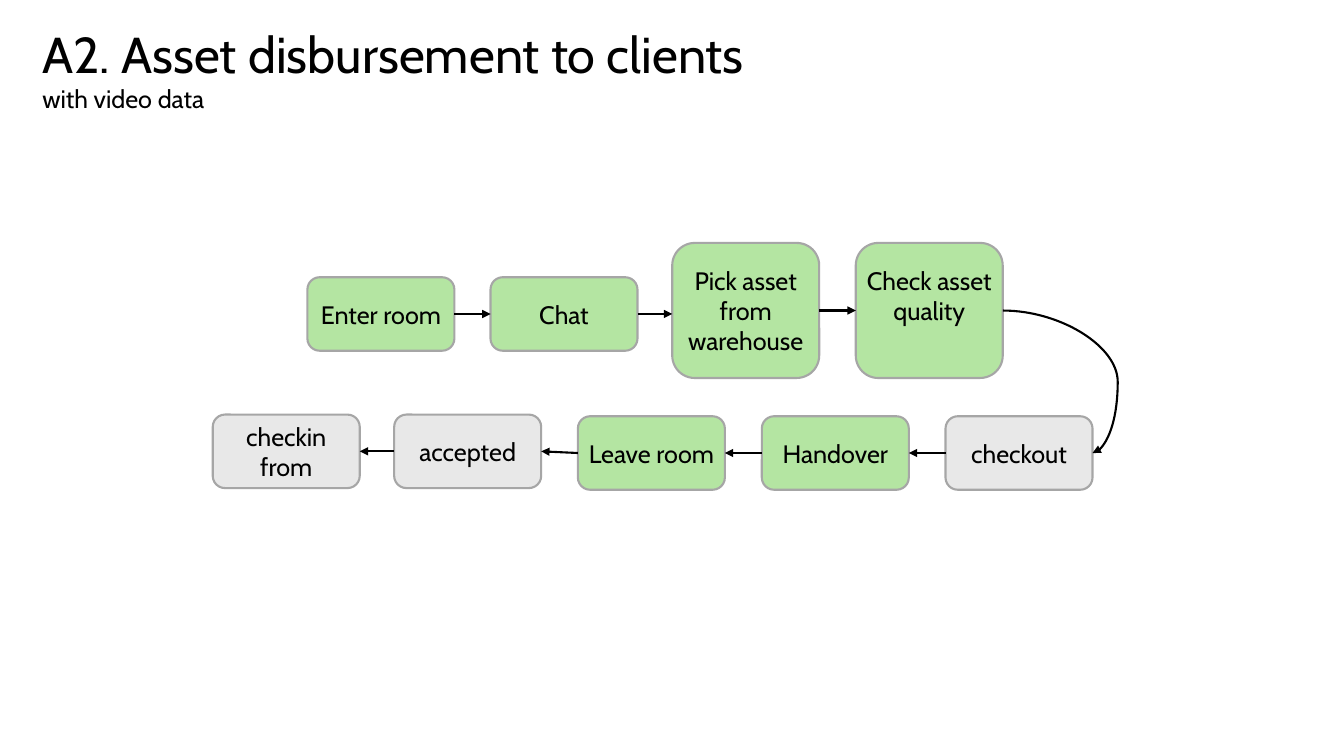
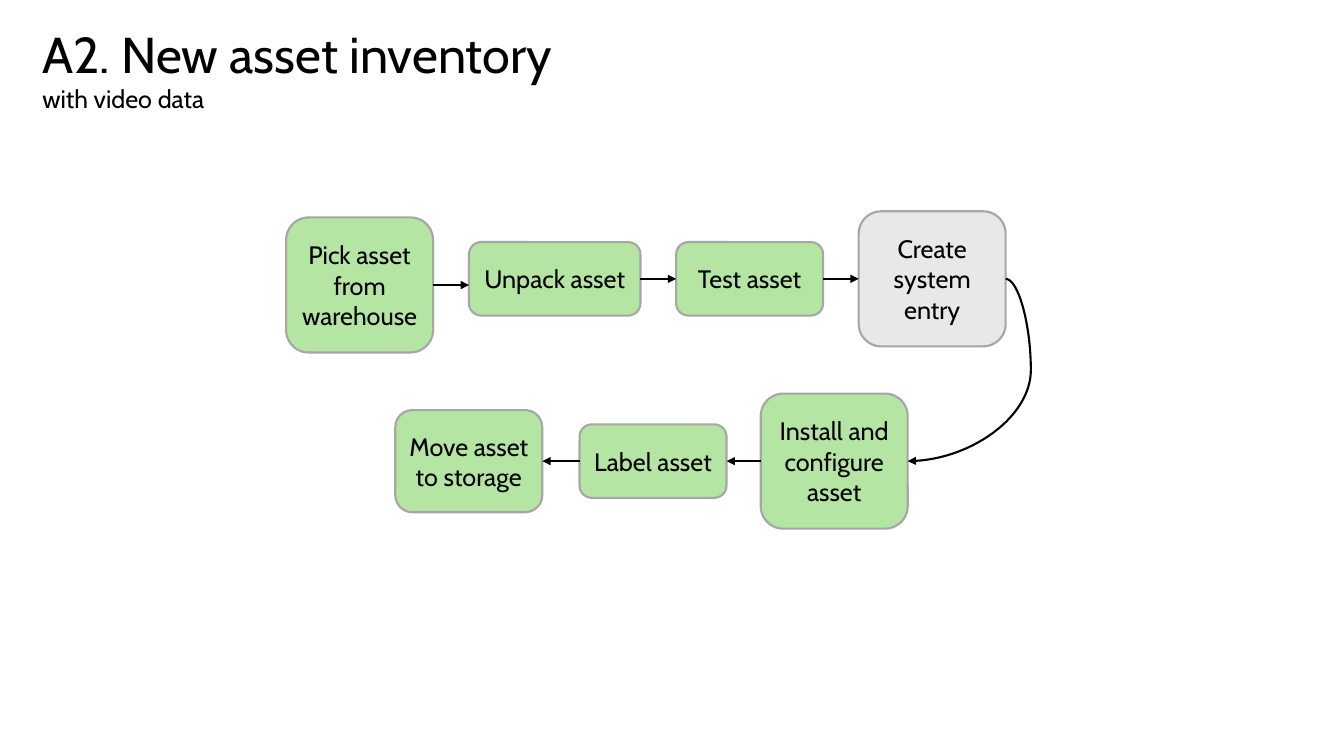
"""Builds two process-flow slides about asset handling."""
from itertools import pairwise

from lxml.etree import SubElement
from pptx import Presentation
from pptx.dml.color import RGBColor
from pptx.enum.shapes import MSO_CONNECTOR, MSO_SHAPE
from pptx.enum.text import MSO_ANCHOR, MSO_AUTO_SIZE, PP_ALIGN
from pptx.oxml.ns import qn
from pptx.util import Pt

FONT = "Cabin"
BLACK, OUTLINE = "000000", "A6A6A6"
VIDEO, SYSTEM = "B4E5A2", "E8E8E8"
SUBTITLE = "with video data"
LOW, MEDIUM, TALL = 52.5, 73, 96.5
WIDTH, WIDE = 105, 122.5
LEFT_SIDE, RIGHT_SIDE = 1, 3
BULGE = 18
TOLERANCE = 2

# text, left, vertical middle, width, height, fill
FLOWS = [
    {
        "title": "A2. Asset disbursement to clients",
        "top_row": [
            ("Enter room", 219.6, 224.3, WIDTH, LOW, VIDEO),
            ("Chat", 350.4, 224.3, WIDTH, LOW, VIDEO),
            ("Pick asset from warehouse", 480.2, 221.8, WIDTH, TALL, VIDEO),
            ("Check asset\nquality", 611.3, 221.8, WIDTH, TALL, VIDEO),
        ],
        "bottom_row": [
            ("checkout", 675.4, 323.6, WIDTH, LOW, SYSTEM),
            ("Handover", 544.2, 323.6, WIDTH, LOW, VIDEO),
            ("Leave room", 412.8, 323.6, WIDTH, LOW, VIDEO),
            ("accepted", 281.6, 322.4, WIDTH, LOW, SYSTEM),
            ("checkin\nfrom", 152, 322.4, WIDTH, LOW, SYSTEM),
        ],
        "top_aligned": ["Check asset\nquality"],
    },
    {
        "title": "A2. New asset inventory",
        "top_row": [
            ("Pick asset from warehouse", 204.4, 203.6, WIDTH, TALL, VIDEO),
            ("Unpack asset", 335, 199.2, WIDE, LOW, VIDEO),
            ("Test asset", 483, 199.2, WIDTH, LOW, VIDEO),
            ("Create\nsystem entry", 613.4, 199.2, WIDTH, TALL, SYSTEM),
        ],
        "bottom_row": [
            ("Install and configure\nasset", 543.4, 329.4, WIDTH, TALL, VIDEO),
            ("Label asset", 414, 329.4, WIDTH, LOW, VIDEO),
            ("Move asset to storage", 282.4, 329.4, WIDTH, MEDIUM, VIDEO),
        ],
        "top_aligned": [],
    },
]


def color(value):
    return RGBColor.from_string(value)


def format_paragraph(para, size, alignment):
    para.alignment = alignment
    para.line_spacing = 1.0
    para.space_before = para.space_after = Pt(0)
    for span in para.runs:
        span.font.name = FONT
        span.font.size = Pt(size)
        span.font.color.rgb = color(BLACK)


def add_title(page, text):
    title = page.shapes.title
    title.left, title.top, title.width, title.height = Pt(23), Pt(13), Pt(700), Pt(73)
    frame = title.text_frame
    frame.text = f"{text}\n{SUBTITLE}"
    frame.auto_size = MSO_AUTO_SIZE.NONE
    frame.vertical_anchor = MSO_ANCHOR.TOP
    for para, size in zip(frame.paragraphs, (36, 18)):
        format_paragraph(para, size, PP_ALIGN.LEFT)


def add_step(page, step, top_aligned):
    text, left, middle, width, height, fill = step
    box = page.shapes.add_shape(
        MSO_SHAPE.ROUNDED_RECTANGLE, Pt(left), Pt(middle - height / 2), Pt(width), Pt(height)
    )
    box.shadow.inherit = False
    box.fill.solid()
    box.fill.fore_color.rgb = color(fill)
    box.line.color.rgb = color(OUTLINE)
    box.line.width = Pt(1.5)
    frame = box.text_frame
    frame.text = text
    frame.word_wrap = True
    frame.margin_left = frame.margin_right = Pt(3)
    frame.margin_top = frame.margin_bottom = Pt(0)
    frame.vertical_anchor = MSO_ANCHOR.MIDDLE
    if text in top_aligned:
        frame.vertical_anchor = MSO_ANCHOR.TOP
        frame.margin_top = Pt(11)
    for para in frame.paragraphs:
        format_paragraph(para, 18, PP_ALIGN.CENTER)
    return box


def middle_of(box):
    return box.top + box.height // 2


def style_arrow(arrow):
    arrow.line.color.rgb = color(BLACK)
    arrow.line.width = Pt(1.5)
    SubElement(arrow.line._get_or_add_ln(), qn("a:tailEnd"), type="triangle")
    SubElement(arrow._element.spPr, qn("a:effectLst"))


def add_arrow(page, source, target, begin_side, end_side):
    begin_x = source.left + (source.width if begin_side == RIGHT_SIDE else 0)
    end_x = target.left + (target.width if end_side == RIGHT_SIDE else 0)
    level = middle_of(source)
    arrow = page.shapes.add_connector(MSO_CONNECTOR.STRAIGHT, begin_x, level, end_x, level)
    arrow.begin_connect(source, begin_side)
    if abs(middle_of(target) - level) < Pt(TOLERANCE):
        arrow.end_connect(target, end_side)
    style_arrow(arrow)


def add_turn(page, source, target):
    begin_x, end_x = source.left + source.width, target.left + target.width
    arrow = page.shapes.add_connector(
        MSO_CONNECTOR.CURVE, begin_x, middle_of(source), end_x, middle_of(target)
    )
    arrow.begin_connect(source, RIGHT_SIDE)
    arrow.end_connect(target, RIGHT_SIDE)
    bend = (max(begin_x, end_x) + Pt(BULGE) - begin_x) / (end_x - begin_x)
    geometry = arrow._element.spPr.find(qn("a:prstGeom"))
    guides = geometry.find(qn("a:avLst"))
    if guides is None:
        guides = SubElement(geometry, qn("a:avLst"))
    SubElement(guides, qn("a:gd"), name="adj1", fmla=f"val {round(bend * 100000)}")
    style_arrow(arrow)


def add_flow(deck, flow):
    page = deck.slides.add_slide(deck.slide_layouts[5])
    add_title(page, flow["title"])
    top_row, bottom_row = (
        [add_step(page, step, flow["top_aligned"]) for step in flow[row]]
        for row in ("top_row", "bottom_row")
    )
    for source, target in pairwise(top_row):
        add_arrow(page, source, target, RIGHT_SIDE, LEFT_SIDE)
    add_turn(page, top_row[-1], bottom_row[0])
    for source, target in pairwise(bottom_row):
        add_arrow(page, source, target, LEFT_SIDE, RIGHT_SIDE)


def main():
    deck = Presentation()
    deck.slide_width, deck.slide_height = Pt(960), Pt(540)
    for flow in FLOWS:
        add_flow(deck, flow)
    deck.save("out.pptx")


if __name__ == "__main__":
    main()
